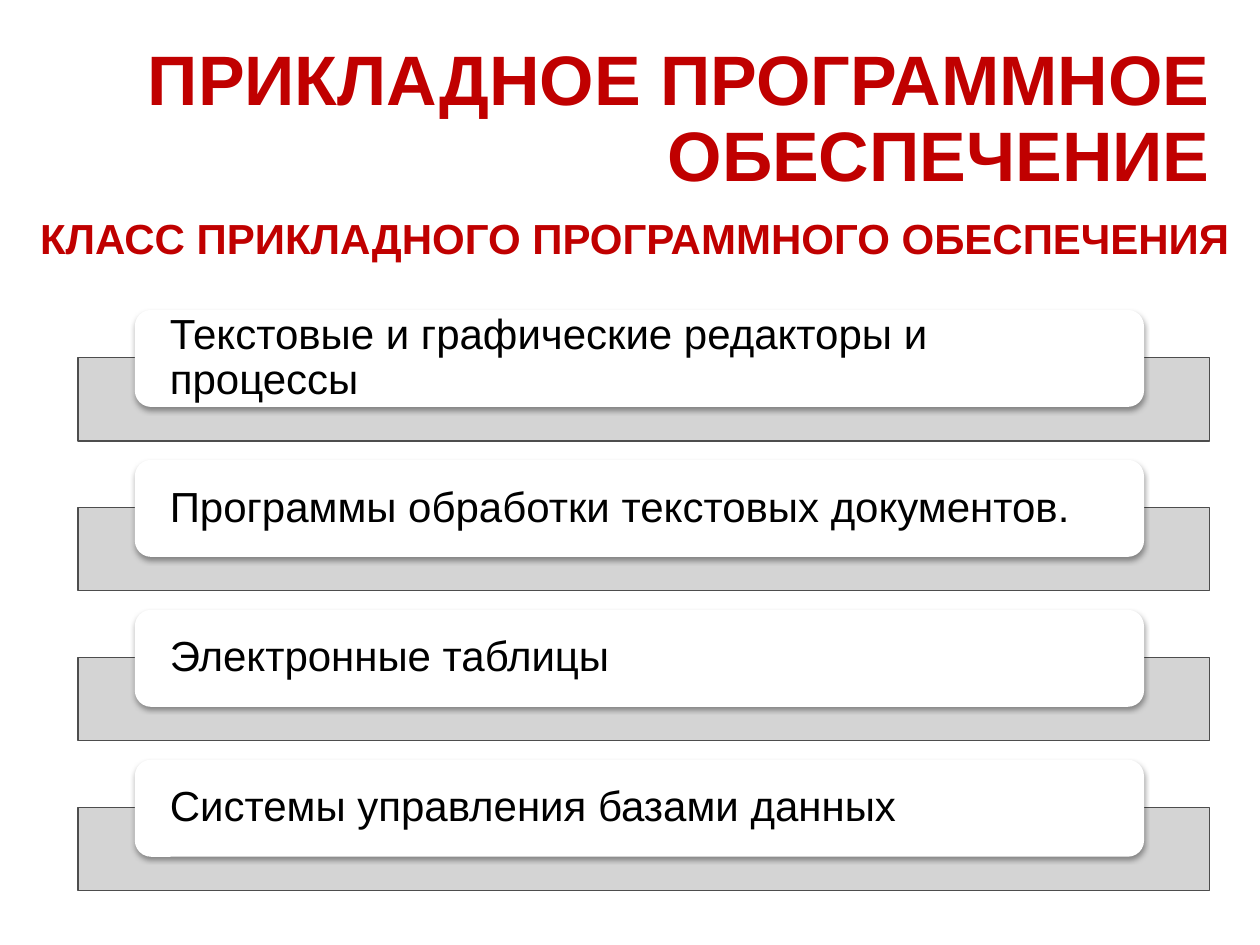
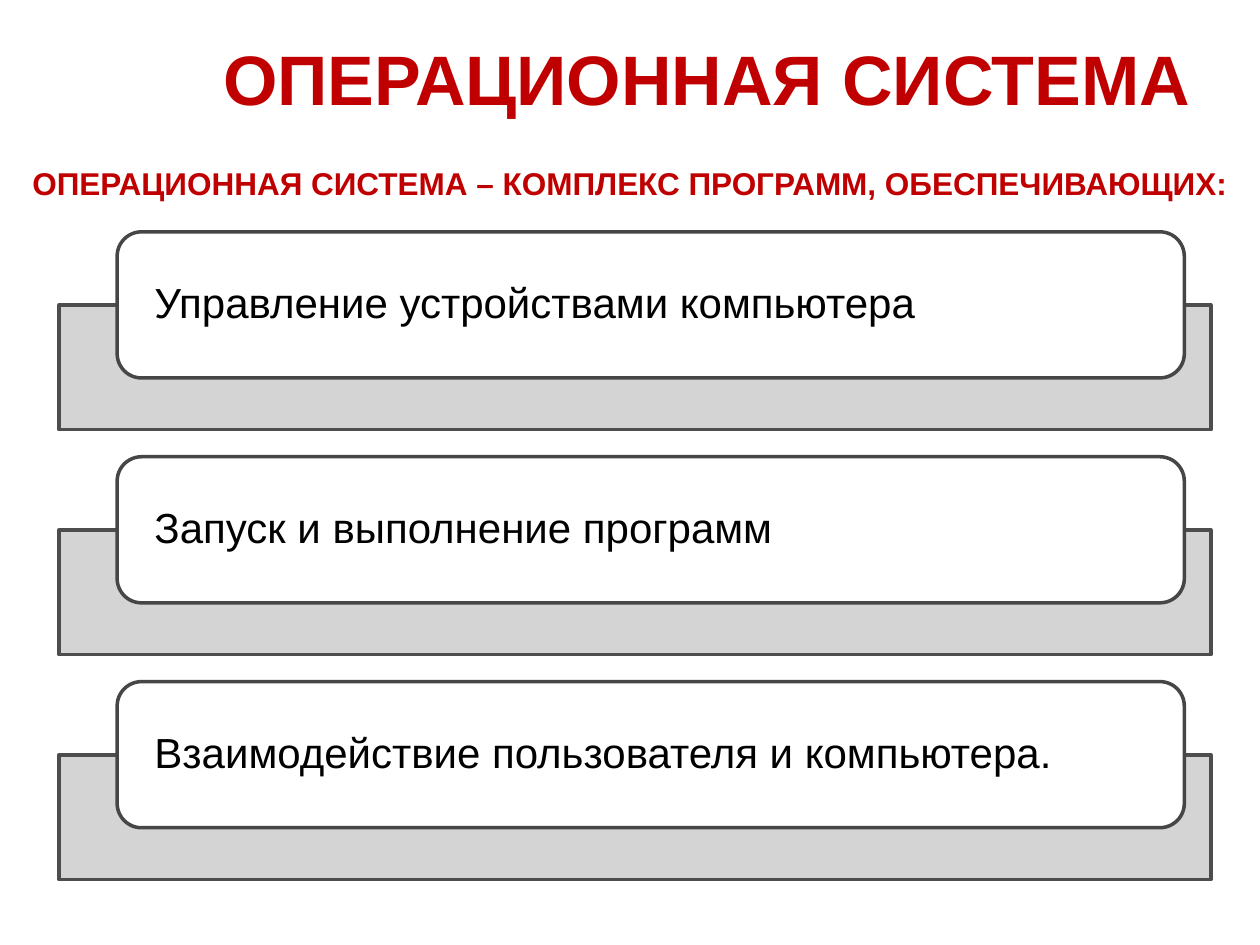
"""Build two slides of stacked cards about application and system software."""
from lxml import etree
from pptx import Presentation
from pptx.dml.color import RGBColor
from pptx.enum.shapes import MSO_SHAPE
from pptx.enum.text import MSO_ANCHOR, PP_ALIGN
from pptx.oxml.ns import qn
from pptx.util import Inches, Pt

RECT, ROUND = MSO_SHAPE.RECTANGLE, MSO_SHAPE.ROUNDED_RECTANGLE
TOP, MIDDLE = MSO_ANCHOR.TOP, MSO_ANCHOR.MIDDLE
LEFT, CENTER, RIGHT = PP_ALIGN.LEFT, PP_ALIGN.CENTER, PP_ALIGN.RIGHT
FONT = "Arial"
RED, BLACK, WHITE = "C00000", "000000", "FFFFFF"
GREY, EDGE, RIM = "D0D0D0", "4D4D4D", "464646"
SPAN = 3.57
TITLE_ONLY = 5


def rgb(code):
    """Turn a hex string into a colour."""
    return RGBColor.from_string(code)


def inches(box):
    """Turn left, top, width and height into lengths."""
    return [Inches(side) for side in box]


def write(shape, text, size, color, align, anchor, bold=False):
    """Put one formatted paragraph into a shape and return it."""
    frame = shape.text_frame
    frame.text = text
    frame.vertical_anchor = anchor
    para = frame.paragraphs[0]
    para.alignment = align
    font = para.runs[0].font
    font.name, font.size, font.bold = FONT, Pt(size), bold
    font.color.rgb = rgb(color)
    return para


def add_title(slide, text):
    """Fill the title placeholder in the shared style."""
    title = slide.shapes.title
    title.left, title.top, title.width, title.height = inches((0, 0.31, 9.7, 1.72))
    para = write(title, text, 40, RED, RIGHT, TOP, True)
    para.line_spacing = 0.9
    para.space_before = Pt(8)


def add_lead(slide, text, box, size, anchor=TOP, wrap=True):
    """Add the red line that leads into the cards."""
    lead = slide.shapes.add_textbox(*inches(box))
    lead.text_frame.word_wrap = wrap
    write(lead, text, size, RED, CENTER, anchor, True)


def add_block(group, kind, box, fill, line, width):
    """Add a filled shape, with an outline if a line colour is given."""
    block = group.shapes.add_shape(kind, *inches(box))
    block.shadow.inherit = False
    block.fill.solid()
    block.fill.fore_color.rgb = rgb(fill)
    if line:
        block.line.color.rgb = rgb(line)
        block.line.width = Pt(width)
    else:
        block.line.fill.background()
    return block


def add_alpha(node, share):
    """Set the opacity of a colour node in percent."""
    etree.SubElement(node, qn("a:alpha"), val=str(share * 1000))


def add_shade(shape):
    """Give a shape a soft shadow below it."""
    effect = shape._element.spPr.find(qn("a:effectLst"))
    shade = etree.SubElement(effect, qn("a:outerShdw"), blurRad=str(Pt(3.1)),
                             dist=str(Pt(1.6)), dir="5400000", rotWithShape="0")
    add_alpha(etree.SubElement(shade, qn("a:srgbClr"), val=BLACK), 38)


def add_stack(slide, items, band, card, width, rim=None):
    """Stack evenly spaced cards, each over a grey band."""
    group = slide.shapes.add_group_shape()
    step = SPAN / (len(items) - 1)
    for row, text in enumerate(items):
        back, front = ((x, y + row * step, w, h) for x, y, w, h in (band, card))
        strip = add_block(group, RECT, back, GREY, EDGE, width)
        add_alpha(strip._element.spPr.find(qn("a:solidFill"))[0], 90)
        face = add_block(group, ROUND, front, WHITE, rim, width)
        if not rim:
            add_shade(face)
        frame = face.text_frame
        frame.word_wrap = True
        frame.margin_left = frame.margin_right = Inches(0.24)
        frame.margin_top = frame.margin_bottom = 0
        write(face, text, 24, BLACK, LEFT, MIDDLE).line_spacing = 0.9


def main():
    """Build and save the slides."""
    deck = Presentation()
    deck.slide_width, deck.slide_height = Inches(10), Inches(7.5)
    layout = deck.slide_layouts[TITLE_ONLY]

    apps = deck.slides.add_slide(layout)
    add_title(apps, "ПРИКЛАДНОЕ ПРОГРАММНОЕ ОБЕСПЕЧЕНИЕ")
    add_stack(apps, ["Текстовые и графические редакторы и процессы",
                     "Программы обработки текстовых документов.",
                     "Электронные таблицы",
                     "Системы управления базами данных"],
              (0.62, 2.84, 8.98, 0.66), (1.07, 2.46, 8.01, 0.77), 0.75)
    add_lead(apps, "КЛАСС ПРИКЛАДНОГО ПРОГРАММНОГО ОБЕСПЕЧЕНИЯ ",
             (0.17, 1.64, 9.83, 0.5), 24, wrap=False)

    system = deck.slides.add_slide(layout)
    add_title(system, "ОПЕРАЦИОННАЯ СИСТЕМА ")
    add_stack(system, ["Управление устройствами компьютера",
                       "Запуск и выполнение программ",
                       "Взаимодействие пользователя и компьютера."],
              (0.47, 2.42, 9.14, 0.99), (0.93, 1.84, 8.47, 1.16), 2, RIM)
    add_lead(system, "ОПЕРАЦИОННАЯ СИСТЕМА – КОМПЛЕКС ПРОГРАММ, ОБЕСПЕЧИВАЮЩИХ:",
             (0, 1.25, 10, 0.4), 18, MIDDLE)

    deck.save("out.pptx")


if __name__ == "__main__":
    main()
